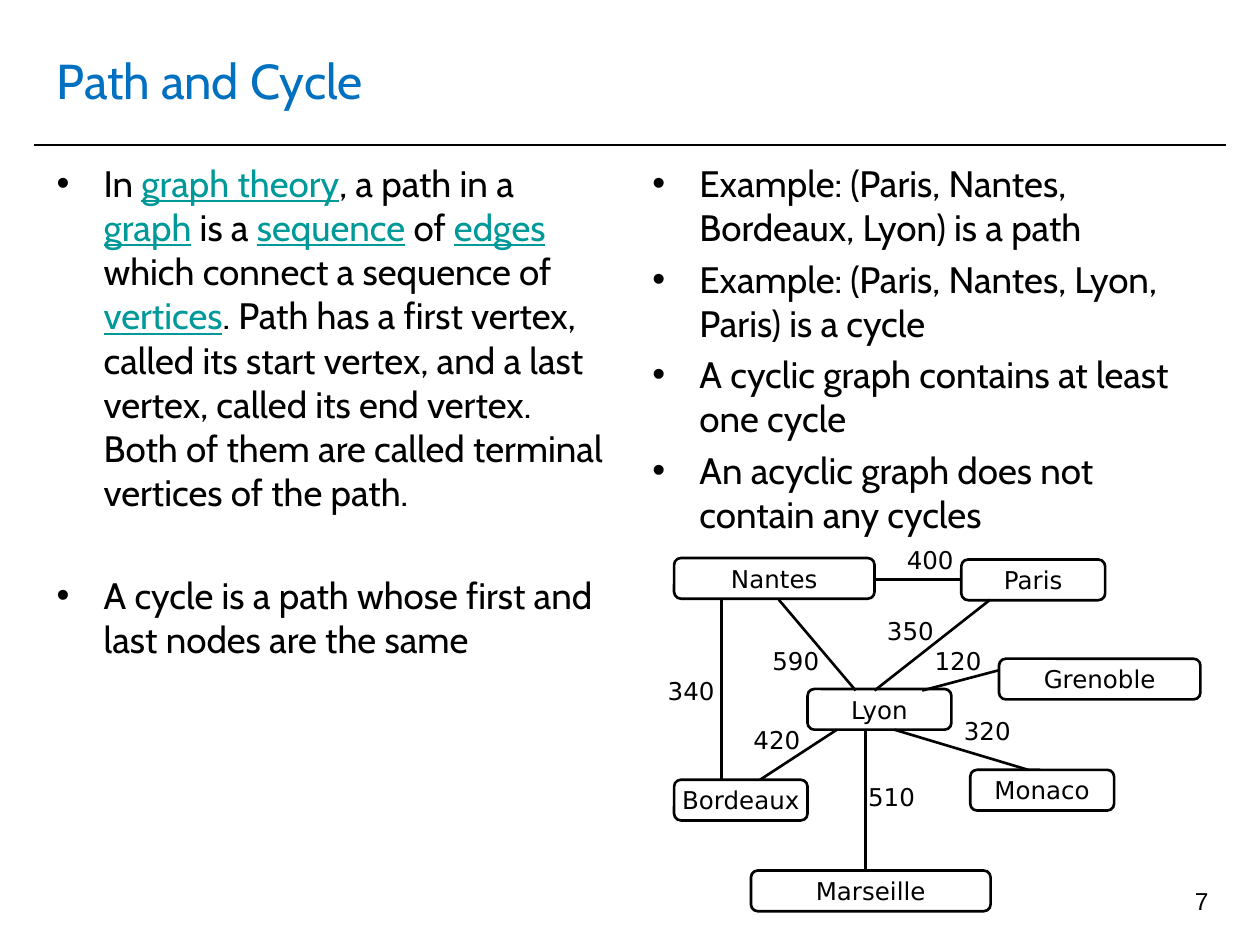
from lxml.etree import SubElement
from pptx import Presentation
from pptx.dml.color import RGBColor
from pptx.enum.shapes import MSO_CONNECTOR as Link, MSO_SHAPE as Preset
from pptx.enum.text import MSO_ANCHOR as Anchor, PP_ALIGN as Align
from pptx.oxml.ns import qn
from pptx.util import Cm, Pt

BLACK = RGBColor(0x00, 0x00, 0x00)
BLUE = RGBColor(0x00, 0x70, 0xC0)
TEAL = RGBColor(0x00, 0x99, 0x99)

# Content: each paragraph is (space before in points, runs); a run is (text, is a term)
TITLE = "Path and Cycle"
DEFINITIONS = [
    (0, [("In ", False), ("graph theory", True), (", a path in a ", False),
         ("graph", True), (" is a ", False), ("sequence", True),
         (" of ", False), ("edges", True),
         (" which connect a sequence of ", False), ("vertices", True),
         (". Path has a first vertex, called its start vertex, and a last "
          "vertex, called its end vertex. Both of them are called terminal "
          "vertices of the path.", False)]),
    (33.6, [("A cycle is a path whose first and last nodes are the same", False)]),
]
EXAMPLES = [
    (0, [("Example: (Paris, Nantes, Bordeaux, Lyon) is a path", False)]),
    (4.2, [("Example: (Paris, Nantes, Lyon, Paris) is a cycle", False)]),
    (4.2, [("A cyclic graph contains at least one cycle", False)]),
    (4.2, [("An acyclic graph does not contain any cycles", False)]),
]
COLUMNS = [(0.89, DEFINITIONS), (12.9, EXAMPLES)]

# City: left, top, width in cm
CITIES = {
    "Nantes": (13.59, 11.25, 4.04),
    "Paris": (19.38, 11.28, 2.9),
    "Lyon": (16.28, 13.89, 2.9),
    "Grenoble": (20.14, 13.28, 4.06),
    "Bordeaux": (13.59, 15.72, 2.69),
    "Marseille": (15.14, 17.55, 4.83),
    "Monaco": (19.56, 15.52, 2.9),
}
CITY_HEIGHT = 0.82

# Distance, start, end, left top of its label, in cm
ROADS = [
    ("340", (14.55, 12.09), (14.55, 15.72), (13.21, 13.51)),
    ("590", (17.25, 13.92), (15.7, 12.09), (15.32, 12.9)),
    ("350", (17.63, 13.92), (19.96, 12.09), (17.63, 12.29)),
    ("120", (18.59, 13.92), (20.14, 13.51), (18.59, 12.9)),
    ("320", (18.03, 14.71), (20.73, 15.52), (19.18, 14.3)),
    ("510", (17.45, 14.71), (17.45, 17.55), (17.25, 15.65)),
    ("420", (15.32, 15.72), (16.87, 14.71), (14.94, 14.5)),
    ("400", (17.63, 11.68), (19.38, 11.68), (18.03, 10.87)),
]


def add_span(para, text, font, size, color=BLACK):
    span = para.add_run()
    span.text = text
    span.font.name = font
    span.font.size = Pt(size)
    span.font.color.rgb = color
    return span


def add_box(page, left, top, width, height):
    box = page.shapes.add_textbox(Cm(left), Cm(top), Cm(width), Cm(height))
    box.text_frame.word_wrap = True
    return box.text_frame


def add_line(page, start, end, weight):
    ends = [Cm(value) for value in start + end]
    line = page.shapes.add_connector(Link.STRAIGHT, *ends)
    line.line.color.rgb = BLACK
    line.line.width = Pt(weight)
    SubElement(line._element.spPr, qn("a:effectLst"))


def add_bullet(para):
    props = para._p.get_or_add_pPr()
    props.set("marL", str(Cm(0.95)))
    props.set("indent", str(-Cm(0.95)))
    color = SubElement(props, qn("a:buClr"))
    SubElement(color, qn("a:srgbClr"), val=str(BLACK))
    SubElement(props, qn("a:buFont"), typeface="Arial")
    SubElement(props, qn("a:buChar"), char="•")


def add_column(page, left, paragraphs):
    frame = add_box(page, left, 3.12, 11.58, 13.89)
    for index, (gap, runs) in enumerate(paragraphs):
        para = frame.add_paragraph() if index else frame.paragraphs[0]
        para.space_before = Pt(gap)
        add_bullet(para)
        for text, is_term in runs:
            span = add_span(para, text, "Cabin", 21, TEAL if is_term else BLACK)
            span.font.underline = is_term


def add_city(page, name, left, top, width):
    city = page.shapes.add_shape(Preset.ROUNDED_RECTANGLE, Cm(left), Cm(top),
                                 Cm(width), Cm(CITY_HEIGHT))
    city.shadow.inherit = False
    city.fill.background()
    city.line.color.rgb = BLACK
    city.line.width = Pt(1.5)
    frame = city.text_frame
    frame.word_wrap = False
    frame.vertical_anchor = Anchor.MIDDLE
    para = frame.paragraphs[0]
    para.alignment = Align.CENTER
    add_span(para, name, "DejaVu Sans", 14)


def main():
    deck = Presentation()
    deck.slide_width, deck.slide_height = Cm(25.4), Cm(19.05)
    page = deck.slides.add_slide(deck.slide_layouts[5])

    # Title and rule
    title = page.shapes.title
    title.left, title.top = Cm(0.89), Cm(0.53)
    title.width, title.height = Cm(23.6), Cm(2.16)
    title.text_frame.vertical_anchor = Anchor.MIDDLE
    heading = title.text_frame.paragraphs[0]
    heading.alignment = Align.LEFT
    add_span(heading, TITLE, "Cabin", 28, BLUE)
    add_line(page, (0.69, 2.92), (24.71, 2.92), 1)

    # Text columns
    for left, paragraphs in COLUMNS:
        add_column(page, left, paragraphs)

    # Road map
    for name, place in CITIES.items():
        add_city(page, name, *place)
    for distance, start, end, (left, top) in ROADS:
        add_line(page, start, end, 1.5)
        label = add_box(page, left, top, 1.55, 0.85)
        add_span(label.paragraphs[0], distance, "DejaVu Sans", 14)

    # Page number
    number = add_box(page, 18.69, 17.73, 5.92, 1.32).paragraphs[0]
    number.alignment = Align.RIGHT
    add_span(number, "7", "Arial", 14)

    deck.save("out.pptx")


if __name__ == "__main__":
    main()
